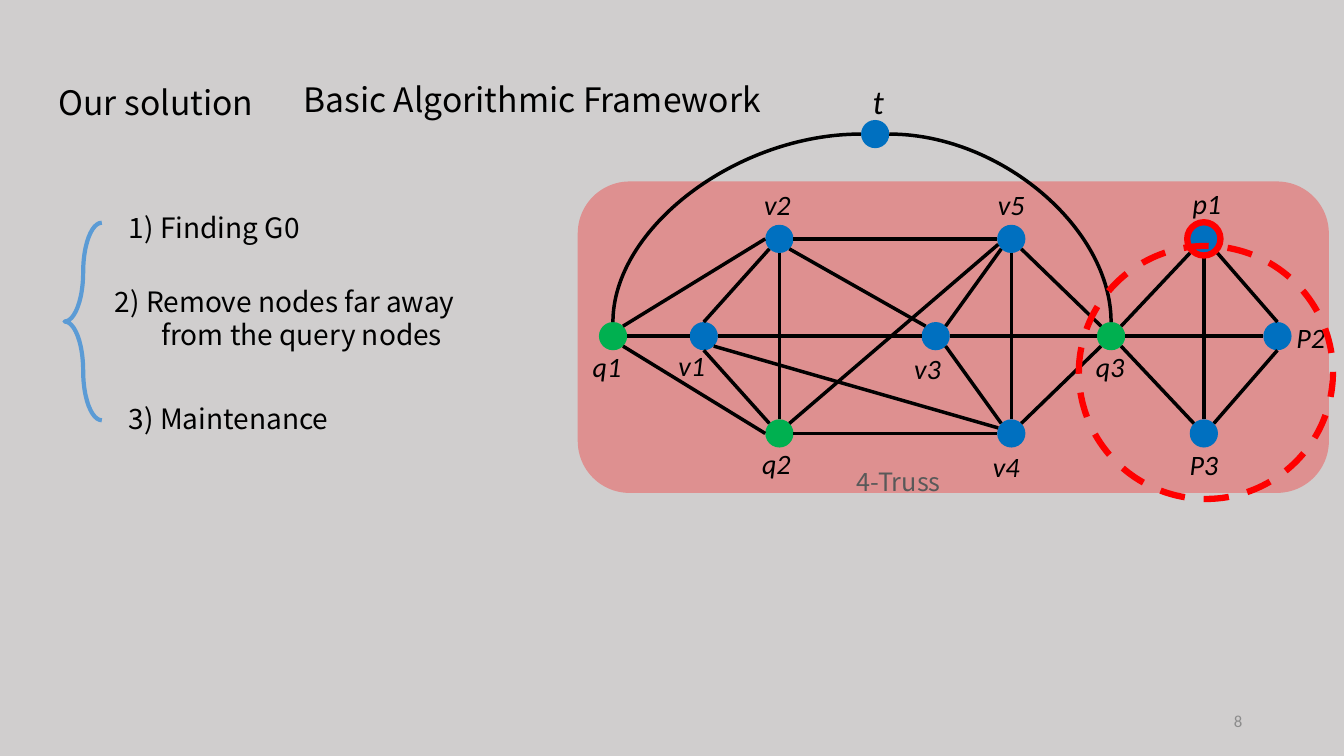
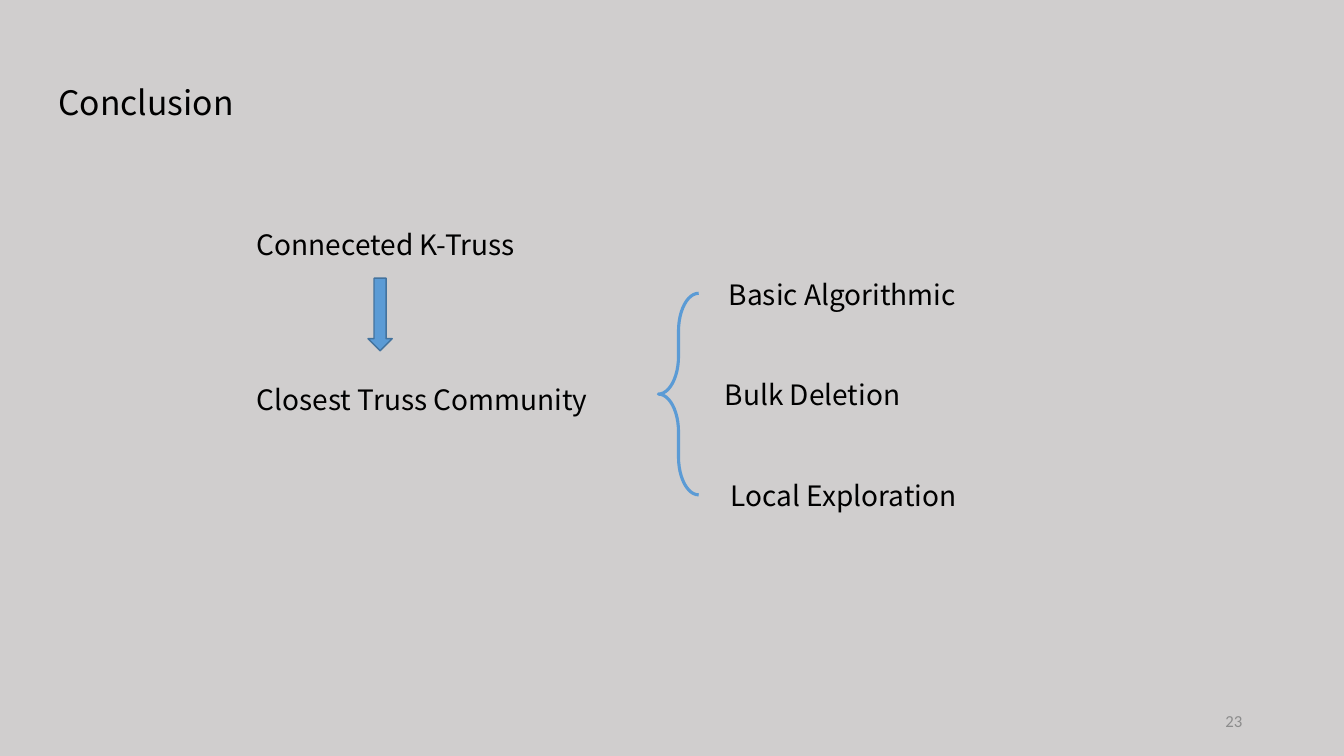
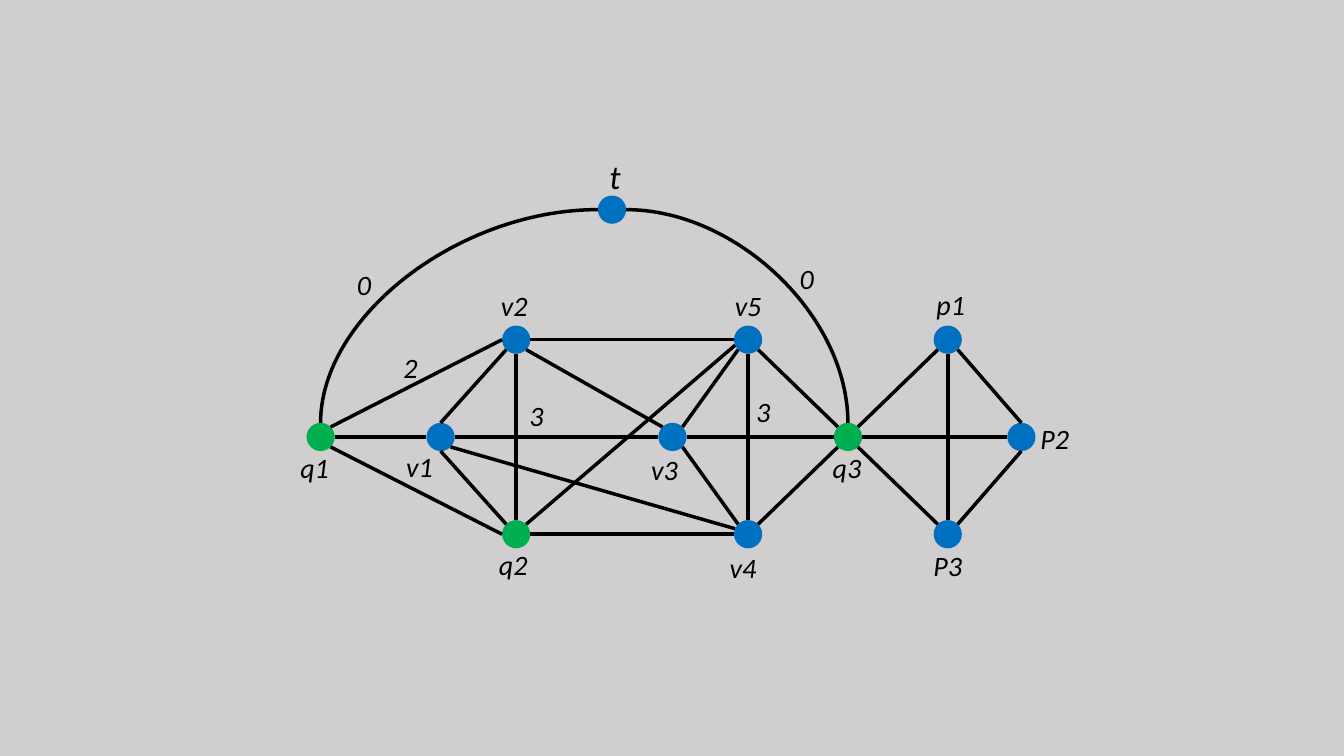
from dataclasses import dataclass
from math import cos, radians, sin

from lxml import etree
from pptx import Presentation
from pptx.dml.color import RGBColor
from pptx.enum.dml import MSO_LINE
from pptx.enum.shapes import MSO_CONNECTOR, MSO_SHAPE
from pptx.enum.text import MSO_ANCHOR, MSO_AUTO_SIZE, PP_ALIGN
from pptx.oxml.ns import qn
from pptx.util import Inches, Pt

OVAL = MSO_SHAPE.OVAL
ROUNDED = MSO_SHAPE.ROUNDED_RECTANGLE
BRACE = MSO_SHAPE.LEFT_BRACE
DOWN_ARROW = MSO_SHAPE.DOWN_ARROW
STRAIGHT, CURVE = MSO_CONNECTOR.STRAIGHT, MSO_CONNECTOR.CURVE
LEFT, CENTER, RIGHT = PP_ALIGN.LEFT, PP_ALIGN.CENTER, PP_ALIGN.RIGHT
TOP, MIDDLE = MSO_ANCHOR.TOP, MSO_ANCHOR.MIDDLE
GROW, FIXED = MSO_AUTO_SIZE.SHAPE_TO_FIT_TEXT, MSO_AUTO_SIZE.NONE
DASH = MSO_LINE.DASH
TITLE_ONLY, BLANK = 5, 6


@dataclass(frozen=True)
class Theme:
    ground: str = "D0CECE"
    ink: str = "000000"
    muted: str = "595959"
    page: str = "8C8C8C"
    query: str = "00B050"
    node: str = "0070C0"
    truss: str = "DE9090"
    alert: str = "FF0000"
    accent: str = "5B9BD5"
    accent_edge: str = "43739E"
    font: str = "Noto Sans CJK SC"
    graph_font: str = "Calibri"
    heading: int = 24
    body: int = 20
    caption: int = 18
    footer: int = 12
    edge: float = 2.5
    ring: float = 4.5


THEME = Theme()
WIDTH, HEIGHT = 13.33, 7.5
NODE = 0.28
LABEL_WIDTH = 0.58
ROW_PITCH = 0.965

CORE_COLUMNS = {"v1": 0, "v2": 0.75, "q2": 0.75, "t": 1.7, "v3": 2.3,
                "v5": 3.05, "v4": 3.05, "q3": 4.04}
ROWS = {"v2": 0, "v5": 0, "p1": 0, "q1": 1, "v1": 1, "v3": 1, "q3": 1,
        "P2": 1, "q2": 2, "v4": 2, "P3": 2}
LABEL_OFFSETS = {"q1": (-0.06, 0.3), "q2": (-0.03, 0.3), "q3": (-0.01, 0.3),
                 "v1": (-0.12, 0.29), "v2": (-0.02, -0.34),
                 "v3": (-0.08, 0.32), "v4": (-0.05, 0.33),
                 "v5": (0, -0.34), "t": (0.03, -0.33), "p1": (0.03, -0.35),
                 "P2": (0.33, 0.01), "P3": (0, 0.31)}
ANGLES = {"N": 90, "NW": 135, "W": 180, "SW": 225, "S": 270, "SE": 315,
          "E": 0, "NE": 45, "WNW": 157, "WSW": 203}
GLUE_SITES = ["N", "NW", "W", "SW", "S", "SE", "E", "NE"]
EDGES = """
q1.E v1.W, v1.E v3.W, v3.E q3.W, q3.E P2.W, p1.SE P2.N, p1.SW q3.NE,
p1.S P3.N, P2.S P3.NE, q3.SE P3.NW, q3.SW v4.NE, v5.S v4.N, v5.SE q3.NW,
v5.SW v3.NE, v3.SE v4.NW, v2.S q2.N, v2.SW v1.N, v1.S q2.NW, v2.W q1.NE,
q1.SE q2.W, q2.E v4.W, v2.E v5.W, v1.SE v4.WNW, v5.WSW q2.NE, v2.SE v3.NW
"""
ARCS = "t.W q1.N, t.E q3.N"


def color(code):
    return RGBColor.from_string(code)


def place(box):
    return [Inches(length) for length in box]


def write(slide, words, box, holder=None, size=THEME.body, font=THEME.font,
          ink=THEME.ink, italic=False, align=LEFT, anchor=TOP, wrap=False,
          grow=True, spacing=1.0, hang=0):
    holder = holder or slide.shapes.add_textbox(*place(box))
    holder.left, holder.top, holder.width, holder.height = place(box)
    frame = holder.text_frame
    frame.word_wrap = wrap
    frame.vertical_anchor = anchor
    frame.auto_size = GROW if grow else FIXED
    paragraph = frame.paragraphs[0]
    paragraph.alignment = align
    paragraph.line_spacing = spacing
    if hang:
        layout = paragraph._p.get_or_add_pPr()
        layout.set("marL", str(Inches(hang)))
        layout.set("indent", str(-Inches(hang)))
    run = paragraph.add_run()
    run.text = words
    run.font.size = Pt(size)
    run.font.name = font
    run.font.italic = italic
    run.font.color.rgb = color(ink)


def draw(slide, kind, box, fill=None, line=None, weight=1, dash=None,
         bend=None):
    shape = slide.shapes.add_shape(kind, *place(box))
    shape.shadow.inherit = False
    if fill:
        shape.fill.solid()
        shape.fill.fore_color.rgb = color(fill)
    else:
        shape.fill.background()
    if line:
        shape.line.color.rgb = color(line)
        shape.line.width = Pt(weight)
        if dash:
            shape.line.dash_style = dash
    else:
        shape.line.fill.background()
    if bend:
        shape.adjustments[0] = bend
    return shape


def graph_label(slide, words, center, size=THEME.body):
    x, y = center
    height = size / 60 + 0.1
    write(slide, words,
          (x - LABEL_WIDTH / 2, y - height / 2, LABEL_WIDTH, height),
          size=size, font=THEME.graph_font, italic=True, align=CENTER,
          wrap=True)


def around(center, size):
    x, y = center
    return x - size / 2, y - size / 2, size, size


def rim(center, site):
    angle = radians(ANGLES[site])
    return (center[0] + NODE / 2 * cos(angle),
            center[1] - NODE / 2 * sin(angle))


def connect(slide, ends, centers, nodes, kind=STRAIGHT):
    joints = [end.split(".") for end in ends.split()]
    points = [length for name, site in joints
              for length in place(rim(centers[name], site))]
    edge = slide.shapes.add_connector(kind, *points)
    edge.line.color.rgb = color(THEME.ink)
    edge.line.width = Pt(THEME.edge)
    element = edge._element
    etree.SubElement(element.spPr, qn("a:effectLst"))
    if kind == CURVE:
        element.spPr.find(qn("a:prstGeom")).set("prst", "curvedConnector2")
    links = element.find(qn("p:nvCxnSpPr")).find(qn("p:cNvCxnSpPr"))
    for tag, (name, site) in zip(("a:stCxn", "a:endCxn"), joints):
        if site in GLUE_SITES:
            etree.SubElement(links, qn(tag), id=str(nodes[name].shape_id),
                             idx=str(GLUE_SITES.index(site)))


def truss_graph(slide, left, top, lead, tail, apex, nudges=None):
    columns = CORE_COLUMNS | {"q1": -lead, "p1": tail, "P3": tail,
                              "P2": tail + 0.73}
    centers = {name: (left + x, top + ROWS[name] * ROW_PITCH
                      if name in ROWS else apex)
               for name, x in columns.items()}
    offsets = LABEL_OFFSETS | (nudges or {})
    nodes = {}
    for name, (x, y) in centers.items():
        fill = THEME.query if name.startswith("q") else THEME.node
        nodes[name] = draw(slide, OVAL, around((x, y), NODE), fill=fill)
        dx, dy = offsets[name]
        graph_label(slide, name, (x + dx, y + dy),
                    THEME.heading if name == "t" else THEME.body)
    for ends in EDGES.split(","):
        connect(slide, ends, centers, nodes)
    for ends in ARCS.split(","):
        connect(slide, ends, centers, nodes, CURVE)
    return centers


def title(slide, words, width):
    write(slide, words, (0.48, 0.56, width, 0.64), holder=slide.shapes.title,
          size=THEME.heading, spacing=1.5)


def page_number(slide, number):
    write(slide, number, (WIDTH - 3.91, HEIGHT - 0.55, 3, 0.4),
          size=THEME.footer, font=THEME.graph_font, ink=THEME.page,
          align=RIGHT, anchor=MIDDLE, wrap=True, grow=False)


def solution_slide(slide):
    draw(slide, ROUNDED, (5.73, 1.8, 7.45, 3.09), fill=THEME.truss)
    title(slide, "Our solution", 2.21)
    write(slide, "Basic Algorithmic Framework", (2.91, 0.53, 4.98, 0.71),
          size=THEME.heading, spacing=1.5)
    centers = truss_graph(slide, left=6.98, top=2.37, lead=0.9, tail=4.96,
                          apex=1.33)
    write(slide, "1) Finding G0", (1.18, 1.87, 2, 0.61), spacing=1.5)
    write(slide, "2) Remove nodes far away from the query nodes",
          (1.04, 2.77, 3.8, 0.77), wrap=True, hang=0.46)
    write(slide, "3) Maintenance", (1.18, 3.77, 2.28, 0.61), spacing=1.5)
    draw(slide, OVAL, around(centers["p1"], 0.33), line=THEME.alert,
         weight=THEME.ring)
    write(slide, "4-Truss", (8.4, 4.58, 1.07, 0.4), size=THEME.caption,
          ink=THEME.muted)
    draw(slide, OVAL, (10.7, 2.44, 2.52, 2.51), line=THEME.alert,
         weight=THEME.ring, dash=DASH)
    draw(slide, BRACE, (0.64, 2.21, 0.37, 1.96), line=THEME.accent, weight=3,
         bend=1.41)
    page_number(slide, "8")


def conclusion_slide(slide):
    title(slide, "Conclusion", 1.98)
    write(slide, "Conneceted K-Truss", (2.45, 2.04, 2.87, 0.55), spacing=1.5)
    write(slide, "Closest Truss Community", (2.45, 3.58, 3.58, 0.55),
          spacing=1.5)
    draw(slide, DOWN_ARROW, (3.65, 2.76, 0.24, 0.72), fill=THEME.accent,
         line=THEME.accent_edge)
    draw(slide, BRACE, (6.53, 2.91, 0.4, 2), line=THEME.accent, weight=2.25,
         bend=0.94)
    methods = [("Basic Algorithmic", 7.13, 2.53), ("Bulk Deletion", 7.09, 2),
               ("Local Exploration", 7.15, 2.5)]
    for row, (method, left, width) in enumerate(methods):
        write(slide, method, (left, 2.7 + row, width, 0.44))
    page_number(slide, "23")


def distance_slide(slide):
    truss_graph(slide, left=4.37, top=3.37, lead=1.19, tail=5.03, apex=2.08,
                nudges={"v1": (-0.21, 0.29)})
    weights = [("0", 3.61, 2.82), ("0", 8, 2.76), ("2", 4.07, 3.64),
               ("3", 5.32, 4.12), ("3", 7.57, 4.08)]
    for weight, x, y in weights:
        graph_label(slide, weight, (x, y))


def main():
    deck = Presentation()
    deck.slide_width, deck.slide_height = place((WIDTH, HEIGHT))
    ground = deck.slide_master.background.fill
    ground.solid()
    ground.fore_color.rgb = color(THEME.ground)
    for build, layout in ((solution_slide, TITLE_ONLY),
                          (conclusion_slide, TITLE_ONLY),
                          (distance_slide, BLANK)):
        build(deck.slides.add_slide(deck.slide_layouts[layout]))
    deck.save("out.pptx")


if __name__ == "__main__":
    main()
